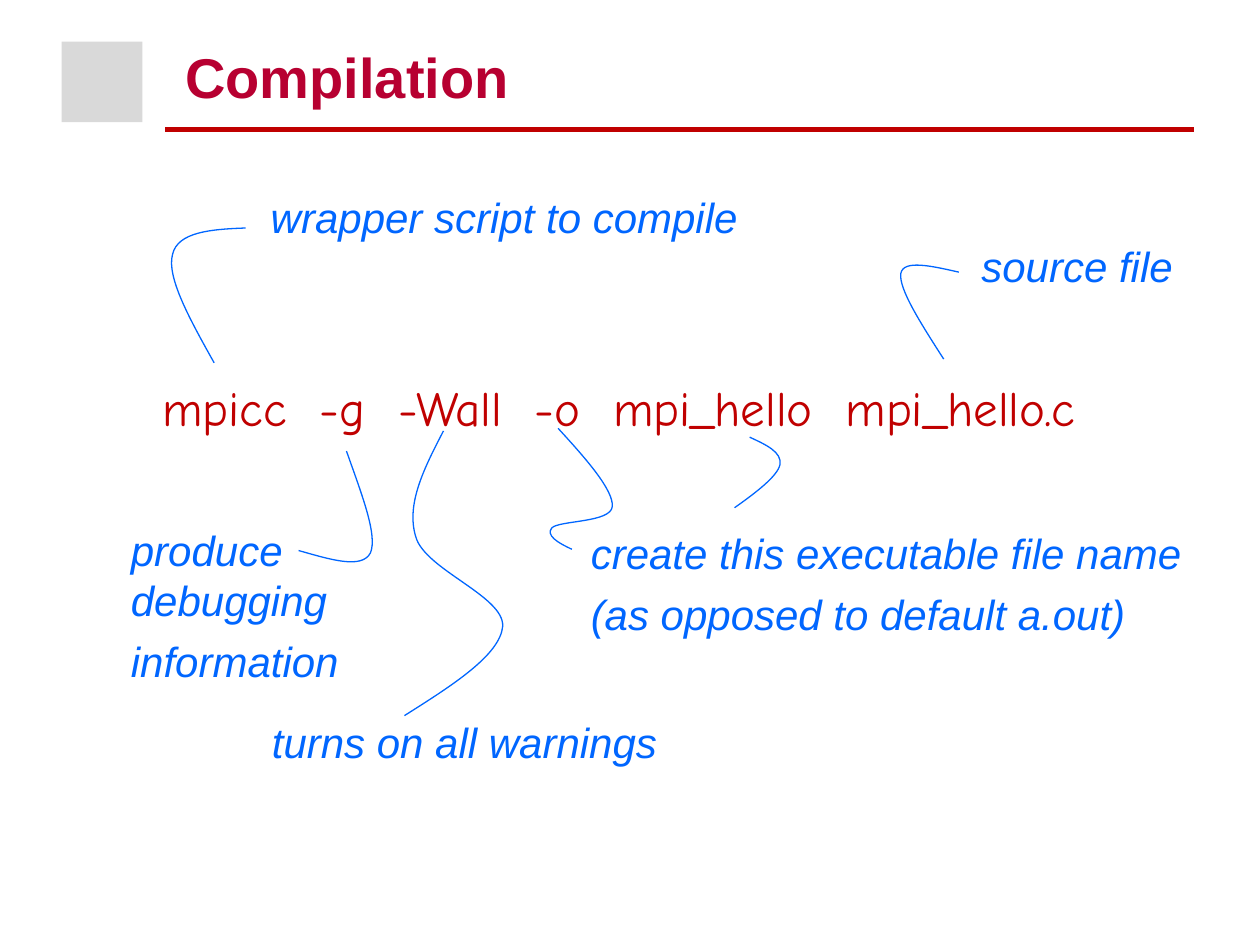
import pptx
import pptx.util
import pptx.dml.color
import pptx.enum.shapes
import pptx.enum.text
import pptx.oxml
import pptx.oxml.ns
from pptx.util import Inches, Pt

RED, BLUE = "C00000", "0066FF"
TITLE = "Compilation"
COMMAND = "mpicc  -g  -Wall  -o  mpi_hello  mpi_hello.c"
CORNER_BLOCK = (0.49, 0.33, 0.64, 0.64)

# left, top, width, height, paragraphs (\v breaks a line)
NOTES = [
    (2.05, 1.47, 3.95, 0.5, ["wrapper script to compile"]),
    (2.06, 5.64, 3.3, 0.5, ["turns on all warnings"]),
    (7.69, 1.86, 1.75, 0.5, ["source file"]),
    (4.59, 4.14, 4.92, 0.99,
     ["create this executable file name", "(as opposed to default a.out)"]),
    (0.94, 4.11, 1.88, 1.39, ["produce\vdebugging", "information"]),
]

# start point, then two control points and an end point for each segment
CURVES = [
    [(1.95, 1.81), (1.68, 1.82), (1.41, 1.84), (1.37, 2.02),
     (1.32, 2.2), (1.51, 2.54), (1.7, 2.88)],
    [(7.61, 2.16), (7.39, 2.11), (7.17, 2.06), (7.15, 2.17),
     (7.13, 2.29), (7.31, 2.57), (7.49, 2.85)],
    [(2.37, 4.37), (2.62, 4.44), (2.87, 4.52), (2.94, 4.39),
     (3, 4.25), (2.87, 3.92), (2.75, 3.58)],
    [(3.21, 5.68), (3.59, 5.44), (3.97, 5.2), (3.99, 4.97),
     (4, 4.73), (3.37, 4.52), (3.3, 4.26),
     (3.22, 4), (3.37, 3.71), (3.52, 3.42)],
    [(5.83, 4.03), (6, 3.91), (6.17, 3.78), (6.19, 3.69),
     (6.21, 3.59), (6.08, 3.53), (5.95, 3.47)],
    [(4.54, 4.36), (4.43, 4.31), (4.33, 4.25), (4.38, 4.19),
     (4.44, 4.13), (4.85, 4.15), (4.86, 4.02),
     (4.87, 3.89), (4.65, 3.64), (4.43, 3.4)],
]


def rgb(color):
    return pptx.dml.color.RGBColor.from_string(color)


def set_line(shape, color, width):
    shape.line.color.rgb = rgb(color)
    shape.line.width = Pt(width)


def style(p, size, font, color, bold=False, italic=False):
    for r in p.runs:
        r.font.size, r.font.name = Pt(size), font
        r.font.bold, r.font.italic = bold, italic
        r.font.color.rgb = rgb(color)


def add_text(s, box, lines, before, wrap, **font):
    tf = s.shapes.add_textbox(*map(Inches, box)).text_frame
    tf.word_wrap = wrap
    tf.auto_size = pptx.enum.text.MSO_AUTO_SIZE.SHAPE_TO_FIT_TEXT
    for i, line in enumerate(lines):
        p = tf.add_paragraph() if i else tf.paragraphs[0]
        p.text = line
        p.space_before = Pt(before)
        style(p, **font)
    return tf


def add_curve(s, points):
    """Draw the points as a path, then merge each three line steps into a Bezier."""
    start, *rest = [(Inches(x), Inches(y)) for x, y in points]
    builder = s.shapes.build_freeform(*start)
    builder.add_line_segments(rest, close=False)
    sp = builder.convert_to_shape()
    sp.shadow.inherit = False
    sp.fill.background()
    set_line(sp, BLUE, 0.75)
    qn = pptx.oxml.ns.qn
    steps = list(sp._element.iter(qn("a:lnTo")))
    for i in range(0, len(steps), 3):
        curve = pptx.oxml.parse_xml(
            f'<a:cubicBezTo {pptx.oxml.ns.nsdecls("a")}/>')
        steps[i].addprevious(curve)
        for step in steps[i:i + 3]:
            curve.append(step.find(qn("a:pt")))
            step.getparent().remove(step)


def main():
    prs = pptx.Presentation()
    prs.slide_width, prs.slide_height = Inches(10), Inches(7.5)
    s = prs.slides.add_slide(prs.slide_layouts[5])

    rule = s.shapes.add_connector(
        pptx.enum.shapes.MSO_CONNECTOR.STRAIGHT,
        Inches(1.31), Inches(1.03), Inches(9.48), Inches(1.03))
    set_line(rule, RED, 3)
    rule._element.spPr.append(pptx.oxml.parse_xml(
        f'<a:effectLst {pptx.oxml.ns.nsdecls("a")}/>'))

    block = s.shapes.add_shape(pptx.enum.shapes.MSO_SHAPE.RECTANGLE,
                               *map(Inches, CORNER_BLOCK))
    block.shadow.inherit = False
    block.fill.solid()
    block.fill.fore_color.rgb = rgb("D9D9D9")
    block.line.fill.background()

    title = s.shapes.title
    title.left, title.top = Inches(1.37), Inches(0.25)
    title.width, title.height = Inches(8), Inches(0.67)
    tf = title.text_frame
    tf.text = TITLE
    tf.vertical_anchor = pptx.enum.text.MSO_ANCHOR.BOTTOM
    tf.paragraphs[0].alignment = pptx.enum.text.PP_ALIGN.LEFT
    style(tf.paragraphs[0], 32, "Arial", "B70031", bold=True)

    tf = add_text(s, (1.19, 2.95, 8.98, 0.57), [COMMAND], 7, True,
                  size=28, font="Comic Neue", color=RED)
    pPr = tf.paragraphs[0]._p.get_or_add_pPr()
    pPr.set("marL", str(Inches(0.38)))
    pPr.set("indent", str(-Inches(0.38)))

    for *box, lines in NOTES:
        add_text(s, box, lines, 6, False,
                 size=24, font="Arial", color=BLUE, italic=True)
    for points in CURVES:
        add_curve(s, points)

    prs.save("out.pptx")


if __name__ == "__main__":
    main()
